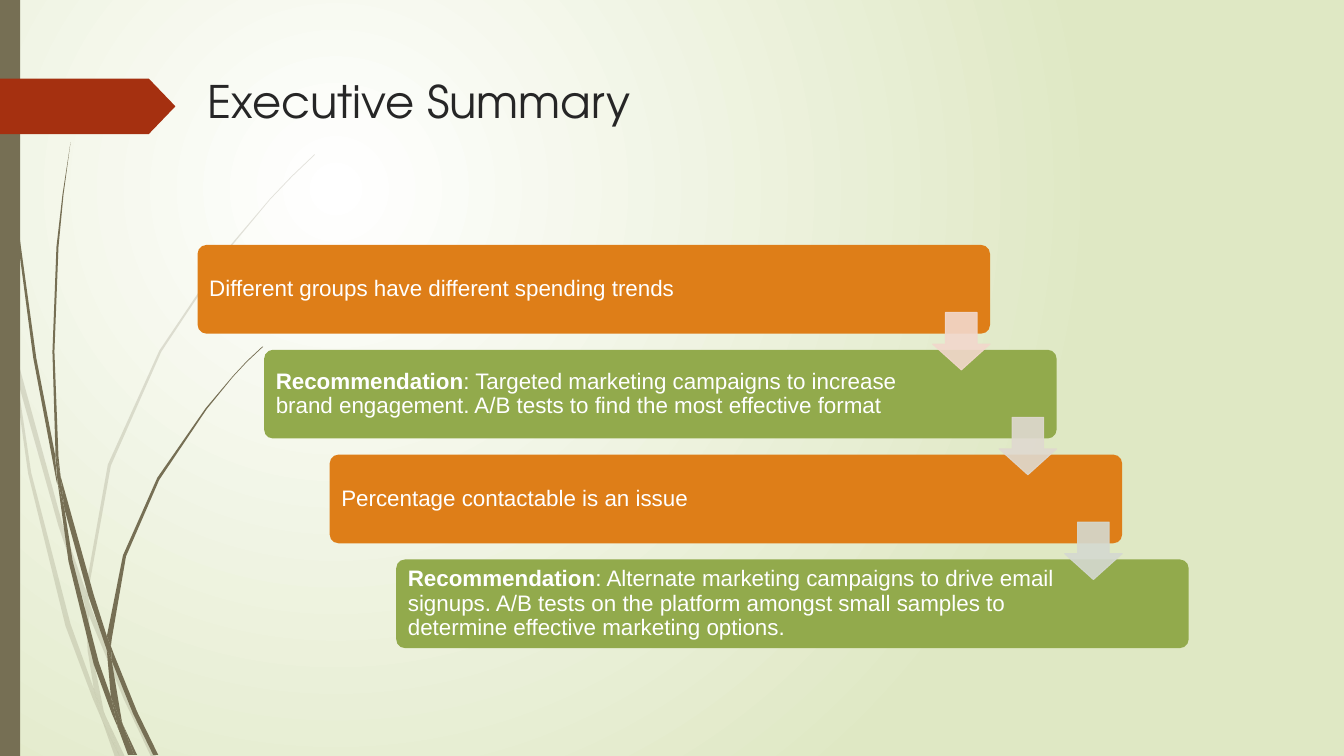
"""Build the Executive Summary slide with its staircase of findings."""
from lxml.etree import SubElement
from pptx import Presentation
from pptx.dml.color import RGBColor as Rgb
from pptx.enum.shapes import MSO_SHAPE as Shape
from pptx.enum.text import MSO_ANCHOR as Anchor, PP_ALIGN as Align
from pptx.oxml.ns import qn
from pptx.util import Pt

PX = 9144
COLORS = {
    "glow": "FFFFFF", "meadow": "DFE8C4", "stem": "766F54", "tab": "A53010",
    "title": "262626", "text": "FFFFFF", "finding": "DE7E18", "advice": "92AA4C",
}
ARROW_COLORS = ["F2D8CC", "DFD9D0", "D5D9D1"]
STEPS = [
    ("", "Different groups have different spending trends"),
    ("Recommendation", ": Targeted marketing campaigns to increase brand engagement. "
     "A/B tests to find the most effective format"),
    ("", "Percentage contactable is an issue"),
    ("Recommendation", ": Alternate marketing campaigns to drive email signups. "
     "A/B tests on the platform amongst small samples to determine effective marketing options."),
]
PALE_BLADES = [
    [(11, 350), (9, 322), (0, 282), (0, 299), (10, 344)],
    [(58, 522), (84, 599), (85, 586), (62, 520), (14, 345), (17, 376)],
    [(92, 607), (88, 596), (88, 610), (123, 694), (150, 751), (155, 751), (127, 692)],
    [(119, 751), (124, 751), (105, 711)],
    [(93, 683), (70, 619), (31, 469), (17, 376), (11, 350), (28, 470), (65, 621),
     (92, 693), (101, 714), (99, 707)],
    [(84, 599), (87, 646), (93, 683), (96, 692), (105, 711), (103, 706), (91, 646),
     (88, 610), (88, 608)],
    [(88, 584), (110, 462), (160, 349), (229, 245), (268, 198), (290, 175), (312, 154),
     (312, 153), (289, 175), (268, 197), (228, 244), (158, 348), (107, 461), (85, 584),
     (85, 586), (88, 596)],
    [(101, 714), (114, 751), (119, 751)],
    [(88, 608), (88, 610), (88, 596), (85, 586), (84, 599)],
    [(96, 692), (93, 683), (99, 707), (101, 714), (119, 751), (105, 711)],
]
DARK_BLADES = [
    [(7, 110), (17, 233), (33, 355), (56, 477), (57, 481), (55, 457), (55, 453),
     (36, 355), (19, 232), (8, 109), (5, 48), (4, 0), (3, 0), (4, 48)],
    [(88, 592), (106, 645), (106, 633), (106, 631), (93, 590), (60, 472), (64, 505)],
    [(113, 649), (110, 641), (111, 656), (132, 708), (152, 749), (157, 749), (136, 706)],
    [(110, 691), (98, 657), (72, 556), (64, 505), (57, 477), (68, 557), (93, 659),
     (111, 708), (117, 722), (116, 717)],
    [(60, 472), (58, 453), (54, 349), (58, 245), (63, 193), (70, 141), (62, 193),
     (56, 245), (52, 349), (55, 449)],
    [(133, 749), (136, 749), (122, 719)],
    [(57, 477), (64, 505), (60, 472), (55, 449), (55, 453)],
    [(111, 633), (125, 552), (158, 476), (205, 406), (231, 374), (245, 359), (261, 344),
     (260, 344), (245, 358), (231, 373), (204, 405), (156, 474), (122, 551), (106, 631),
     (110, 641)],
    [(117, 722), (127, 749), (131, 749)],
    [(106, 645), (110, 691), (116, 706), (122, 719), (121, 716), (111, 656), (109, 651)],
    [(106, 645), (109, 651), (111, 656), (110, 641), (106, 631), (106, 633)],
    [(116, 706), (110, 691), (116, 717), (117, 722), (130, 749), (133, 749), (122, 719)],
]


def paint(shape, color, opacity=100, outlined=False):
    """Color a shape, and its outline if wanted, without a shadow."""
    shape.shadow.inherit = False
    shape.fill.solid()
    shape.fill.fore_color.rgb = Rgb.from_string(color)
    if outlined:
        shape.line.color.rgb = Rgb.from_string(color)
        shape.line.width = Pt(0.75)
    else:
        shape.line.fill.background()
    if opacity < 100:
        for node in shape.element.spPr.iter(qn("a:srgbClr")):
            SubElement(node, qn("a:alpha")).set("val", str(opacity * 1000))


def add_preset(slide, kind, left, top, width, height):
    """Add a preset shape placed in px."""
    return slide.shapes.add_shape(kind, left * PX, top * PX, width * PX, height * PX)


def add_blade(slide, outline, opacity):
    """Draw one piece of grass from its outline in px."""
    builder = slide.shapes.build_freeform(*outline[0], scale=PX)
    builder.add_line_segments(outline[1:], close=True)
    paint(builder.convert_to_shape(), COLORS["stem"], opacity)


def set_background(slide):
    """Give the slide a round glow centred in its upper left quarter."""
    fill = slide.background.fill
    fill.gradient()
    for stop, name in zip(fill.gradient_stops, ("glow", "meadow")):
        stop.color.rgb = Rgb.from_string(COLORS[name])
    gradient = next(slide.element.iter(qn("a:gradFill")))
    gradient.remove(gradient.find(qn("a:lin")))
    circle = SubElement(gradient, qn("a:path"))
    circle.set("path", "circle")
    focus = SubElement(circle, qn("a:fillToRect"))
    for side, share in zip("ltrb", (50, 50, 100, 100)):
        focus.set(side, str(share * 1000))


def style_run(run, size, font, color, bold=False):
    """Format one run of text."""
    run.font.size, run.font.name, run.font.bold = Pt(size), font, bold
    run.font.color.rgb = Rgb.from_string(COLORS[color])


def set_title(slide, text):
    """Place and format the title placeholder."""
    title = slide.shapes.title
    title.left, title.top, title.width, title.height = (
        value * PX for value in (196, 68, 1062, 140))
    frame = title.text_frame
    frame.text = text
    frame.vertical_anchor = Anchor.TOP
    frame.paragraphs[0].alignment = Align.LEFT
    style_run(frame.paragraphs[0].runs[0], 32, "TeX Gyre Adventor", "title")


def add_step(slide, left, top, label, text):
    """Add one stair box with an optional bold label."""
    box = add_preset(slide, Shape.ROUNDED_RECTANGLE, left, top, 786, 88)
    paint(box, COLORS["advice" if label else "finding"])
    box.adjustments[0] = 0.1
    frame = box.text_frame
    frame.word_wrap = True
    frame.vertical_anchor = Anchor.MIDDLE
    frame.margin_left, frame.margin_right = 9 * PX, 129 * PX
    frame.margin_top = frame.margin_bottom = 7 * PX
    para = frame.paragraphs[0]
    para.alignment, para.line_spacing = Align.LEFT, 0.9
    for words, bold in ((label, True), (text, False)):
        if words:
            span = para.add_run()
            span.text = words
            style_run(span, 16, "Arial", "text", bold)


def add_arrow(slide, left, top, color):
    """Add a translucent arrow leading down to the next step."""
    arrow = add_preset(slide, Shape.DOWN_ARROW, left, top, 57, 57)
    paint(arrow, color, 90, outlined=True)
    arrow.adjustments[0], arrow.adjustments[1] = 0.45, 0.55
    arrow.adjustments[0], arrow.adjustments[1] = 0.55, 0.45


def main():
    """Build and save the slide."""
    deck = Presentation()
    deck.slide_width, deck.slide_height = 1333 * PX, 750 * PX
    slide = deck.slides.add_slide(deck.slide_layouts[5])
    set_background(slide)
    for blades, opacity in ((PALE_BLADES, 20), (DARK_BLADES, 100)):
        for outline in blades:
            add_blade(slide, outline, opacity)
    bar = add_preset(slide, Shape.RECTANGLE, 0, 0, 20, 750)
    paint(bar, COLORS["stem"])
    tab = add_preset(slide, Shape.PENTAGON, 0, 78, 174, 55)
    paint(tab, COLORS["tab"])
    tab.adjustments[0] = 0.48
    set_title(slide, "Executive Summary")
    corners = [(196 + round(65.6 * index), 243 + 104 * index) for index in range(len(STEPS))]
    for (left, top), (label, text) in zip(corners, STEPS):
        add_step(slide, left, top, label, text)
    for (left, top), color in zip(corners, ARROW_COLORS):
        add_arrow(slide, left + 729, top + 67, color)
    deck.save("out.pptx")


if __name__ == "__main__":
    main()
